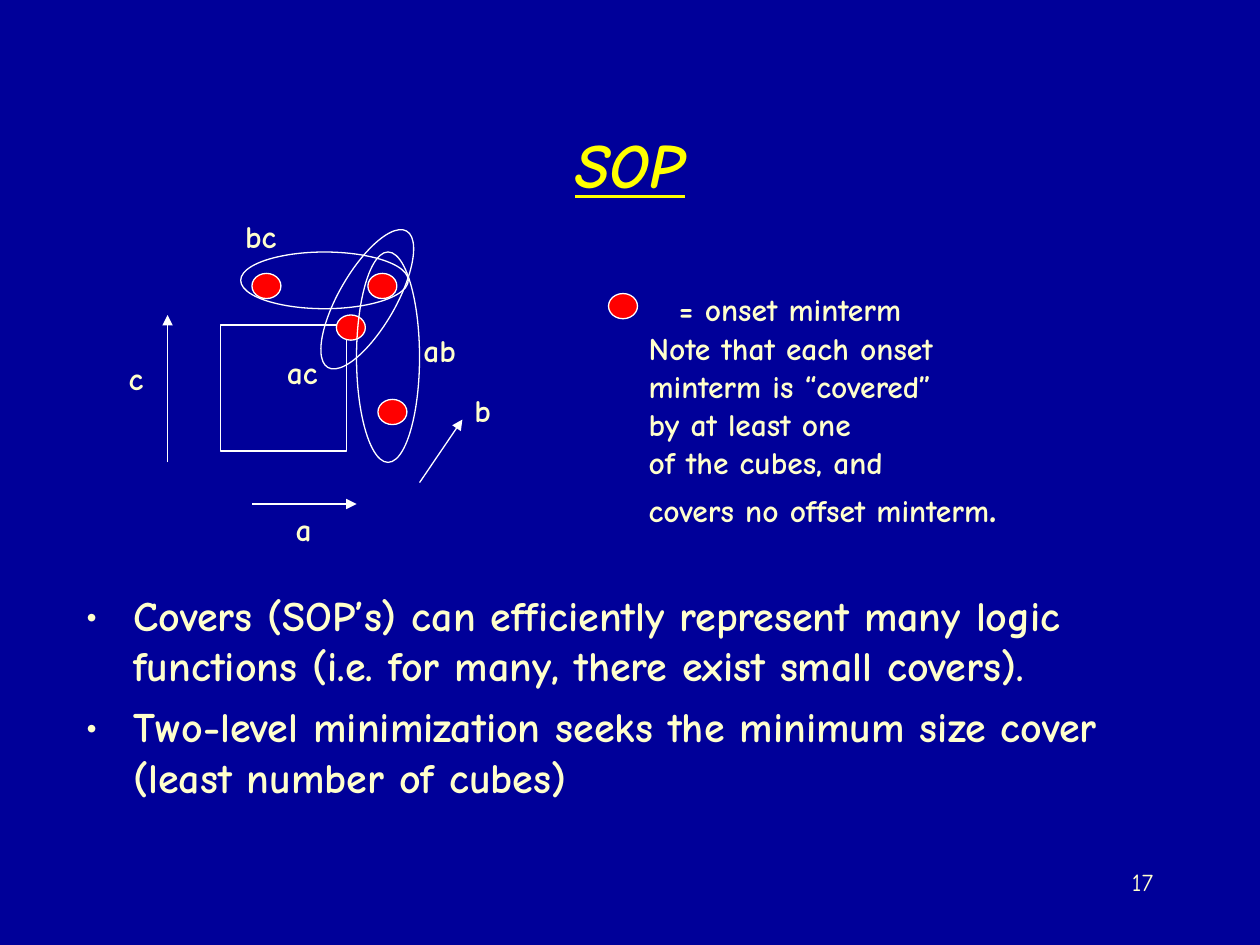
import pptx
import pptx.util
import pptx.dml.color
import pptx.enum.shapes
import pptx.enum.text
import pptx.oxml.ns
import lxml.etree

Inches = pptx.util.Inches
Pt = pptx.util.Pt
RGB = pptx.dml.color.RGBColor
KIND = pptx.enum.shapes.MSO_SHAPE
ALIGN = pptx.enum.text.PP_ALIGN
ANCHOR = pptx.enum.text.MSO_ANCHOR
NAVY = RGB(0x00, 0x00, 0x99)
YELLOW = RGB(0xFF, 0xFF, 0x00)
CREAM = RGB(0xFF, 0xFF, 0xCC)
RED = RGB(0xFF, 0x00, 0x00)
WHITE = RGB(0xFF, 0xFF, 0xFF)
FONT = "Comic Neue"

TITLE = "SOP"
POINTS = [
    "Covers (SOP’s) can efficiently represent many logic functions "
    "(i.e. for many, there exist small covers).",
    "Two-level minimization seeks the minimum size cover "
    "(least number of cubes)",
]
NOTE = [
    "= onset minterm",
    "Note that each onset",
    "minterm is “covered”",
    "by at least one",
    "of the cubes, and",
    "covers no offset minterm",
]
PAGE = "17"
DOTS = [(2.92, 2.17), (2, 2.17), (2.67, 2.5), (3, 3.17)]
KEY = (4.83, 2.33)
CUBES = [
    (2.35, 1.56, 0.45, 1.33, 90),
    (2.69, 1.75, 0.45, 1.25, 210),
    (2.83, 2, 0.5, 1.67, 0),
]
LABELS = [
    ("bc", 2.07, 1.67),
    ("ac", 2.4, 2.75),
    ("ab", 3.49, 2.58),
    ("c", 1.08, 2.8),
    ("a", 2.41, 4),
    ("b", 3.83, 3.05),
]
SPAN = 0.6
AXES = [
    (1.33, 3.67, 1.33, 2.5),
    (2, 4, 2.83, 4),
    (3.33, 3.83, 3.67, 3.33),
]


def add_text(parent, lines, box, size, color=CREAM, align=ALIGN.LEFT,
             anchor=ANCHOR.TOP, wrap=True, bold=True):
    frame = parent.add_textbox(*map(Inches, box)).text_frame
    frame.word_wrap = wrap
    frame.vertical_anchor = anchor
    frame.text = "\n".join(lines)
    for par in frame.paragraphs:
        par.alignment = align
        par.font.name = FONT
        par.font.size = Pt(size)
        par.font.bold = bold
        par.font.color.rgb = color
    return frame.paragraphs


def add_form(parent, kind, box, fill=None, turn=0):
    form = parent.add_shape(kind, *map(Inches, box))
    form.shadow.inherit = False
    form.rotation = turn
    form.line.color.rgb = WHITE
    form.line.width = Pt(0.75)
    if fill is None:
        form.fill.background()
    else:
        form.fill.solid()
        form.fill.fore_color.rgb = fill


def add_dot(parent, spot):
    add_form(parent, KIND.OVAL, (*spot, 0.23, 0.2), RED)


def add_node(parent, tag, **attrs):
    name = pptx.oxml.ns.qn(tag)
    return lxml.etree.SubElement(parent, name, attrs)


def add_arrow(parent, ends):
    line = parent.add_connector(
        pptx.enum.shapes.MSO_CONNECTOR.STRAIGHT, *map(Inches, ends))
    line.line.color.rgb = WHITE
    line.line.width = Pt(0.75)
    props = line._element.spPr
    add_node(props.find(pptx.oxml.ns.qn("a:ln")), "a:tailEnd",
             type="triangle")
    add_node(props, "a:effectLst")


def set_indent(par, left, first):
    props = par._p.get_or_add_pPr()
    props.set("marL", str(Inches(left)))
    props.set("indent", str(Inches(first)))
    return props


def main():
    deck = pptx.Presentation()
    deck.slide_width, deck.slide_height = Inches(10), Inches(7.5)
    slide = deck.slides.add_slide(deck.slide_layouts[6])
    slide.background.fill.solid()
    slide.background.fill.fore_color.rgb = NAVY
    shapes = slide.shapes

    title, = add_text(shapes, [TITLE], (0.75, 0.67, 8.5, 1.25), 36, YELLOW,
                      ALIGN.CENTER, ANCHOR.MIDDLE)
    title.font.italic = True
    title.font.underline = True

    points = add_text(shapes, POINTS, (0.58, 4.63, 8.58, 2.1), 24)
    for par in points:
        props = set_indent(par, 0.38, -0.38)
        add_node(props, "a:buFont", typeface=FONT)
        add_node(props, "a:buChar", char="•")
    points[1].space_before = Pt(6)

    graph = shapes.add_group_shape().shapes
    add_form(graph, KIND.RECTANGLE, (1.75, 2.58, 1, 1))
    for spot in DOTS:
        add_dot(graph, spot)
    for *box, turn in CUBES:
        add_form(graph, KIND.OVAL, box, turn=turn)
    for ends in AXES:
        add_arrow(graph, ends)
    for word, mid, top in LABELS:
        add_text(graph, [word], (mid - SPAN / 2, top, SPAN, 0.4), 18,
                 align=ALIGN.CENTER, anchor=ANCHOR.MIDDLE, wrap=False)

    add_dot(shapes, KEY)
    note = add_text(shapes, NOTE, (5.05, 2.25, 2.97, 2.02), 18, wrap=False)
    set_indent(note[0], 0, 0.24)
    note[0].space_after = Pt(1)
    stop = note[-1].add_run()
    stop.text = "."
    stop.font.size = Pt(24)

    add_text(shapes, [PAGE], (7.17, 6.83, 2.08, 0.5), 14,
             align=ALIGN.RIGHT, bold=False)
    deck.save("out.pptx")


if __name__ == "__main__":
    main()
